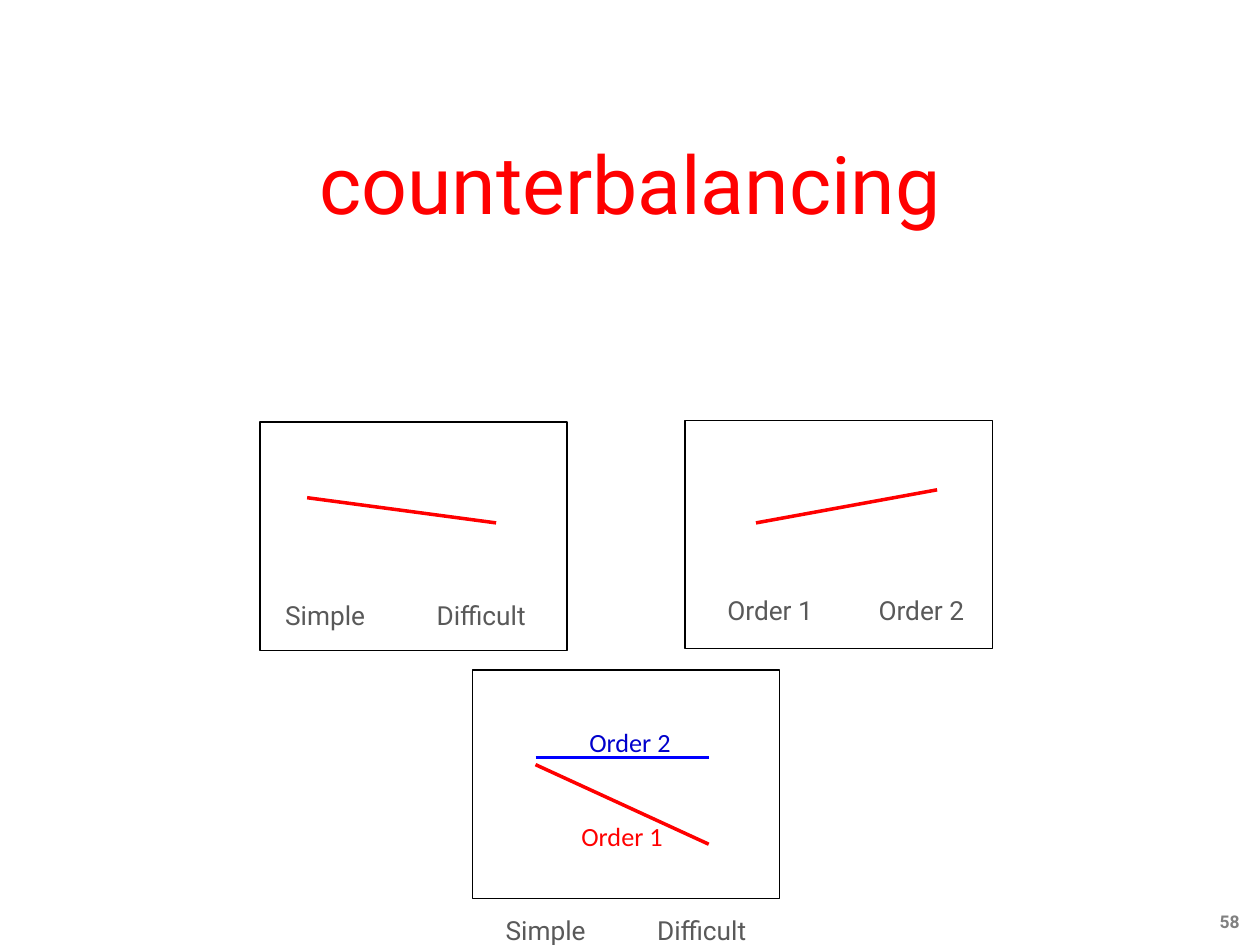
from lxml.etree import SubElement
from pptx import Presentation
from pptx.dml.color import RGBColor
from pptx.enum.shapes import MSO_CONNECTOR as CONN, MSO_SHAPE as SHAPE
from pptx.enum.text import MSO_ANCHOR as ANCHOR, PP_ALIGN as ALIGN
from pptx.oxml.ns import qn
from pptx.util import Inches, Pt

COLS, ROWS = 160, 120
PANEL_W, PANEL_H = 39, 29
RED, BLUE, GREY = "FF0000", "0000FF", "595959"

prs = Presentation()
prs.slide_width, prs.slide_height = Inches(10), Inches(7.5)
s = prs.slides.add_slide(prs.slide_layouts[6])


def rgb(value):
    return RGBColor.from_string(value)


def col(n):
    return round(prs.slide_width * n / COLS)


def row(n):
    return round(prs.slide_height * n / ROWS)


def text(box, words, color, **font):
    x, y, w, h = box
    tf = s.shapes.add_textbox(col(x), row(y), col(w), row(h)).text_frame
    frame = dict(word_wrap=True, vertical_anchor=ANCHOR.MIDDLE,
                 margin_left=0, margin_right=0, margin_top=0, margin_bottom=0)
    for key, value in frame.items():
        setattr(tf, key, value)
    p = tf.paragraphs[0]
    p.alignment = ALIGN.CENTER
    r = p.add_run()
    r.text = words
    for key, value in {"name": "Roboto", "size": Pt(15), **font}.items():
        setattr(r.font, key, value)
    r.font.color.rgb = rgb(color)


def label(x, y, words, color, **font):
    text((x - 8, y - 3, 16, 6), words, color, **font)


def trend(x1, y1, x2, y2, color):
    line = s.shapes.add_connector(CONN.STRAIGHT, col(x1), row(y1), col(x2), row(y2))
    line.line.color.rgb = rgb(color)
    line.line.width = Pt(2)
    SubElement(line._element.spPr, qn("a:effectLst"))


def panel(x, y, trends, ticks, tick_y, names=()):
    sp = s.shapes.add_shape(SHAPE.RECTANGLE, col(x), row(y), col(PANEL_W), row(PANEL_H))
    sp.shadow.inherit = False
    sp.fill.solid()
    sp.fill.fore_color.rgb = rgb("FFFFFF")
    sp.line.color.rgb = rgb("000000")
    sp.line.width = Pt(0.75)
    for x1, y1, x2, y2, color in trends:
        trend(x + x1, y + y1, x + x2, y + y2, color)
    for tick_x, words in ticks:
        label(x + tick_x, y + tick_y, words, GREY)
    for name_x, name_y, words, color in names:
        label(x + name_x, y + name_y, words, color, name="Calibri")


def title(box):
    text(box, "counterbalancing", RED, size=Pt(46))


def page_number(box):
    text(box, "58", "808080", size=Pt(10), bold=True)


title((8, 13.1, 144, 20))
panel(33, 53.6, [(6, 9.6, 30, 12.8, RED)],
      [(8.3, "Simple"), (28.1, "Difficult")], 24.5)
panel(87, 53.4, [(9, 13, 32, 8.8, RED)],
      [(10.8, "Order 1"), (30, "Order 2")], 24)
panel(60, 85.1, [(8, 12, 30, 22.1, RED), (8, 11.1, 30, 11.1, BLUE)],
      [(9.3, "Simple"), (29.1, "Difficult")], 33,
      [(20, 9.1, "Order 2", "0000CC"), (19, 21, "Order 1", RED)])
page_number((151.5, 113.8, 9.3, 6.4))

prs.save("out.pptx")
